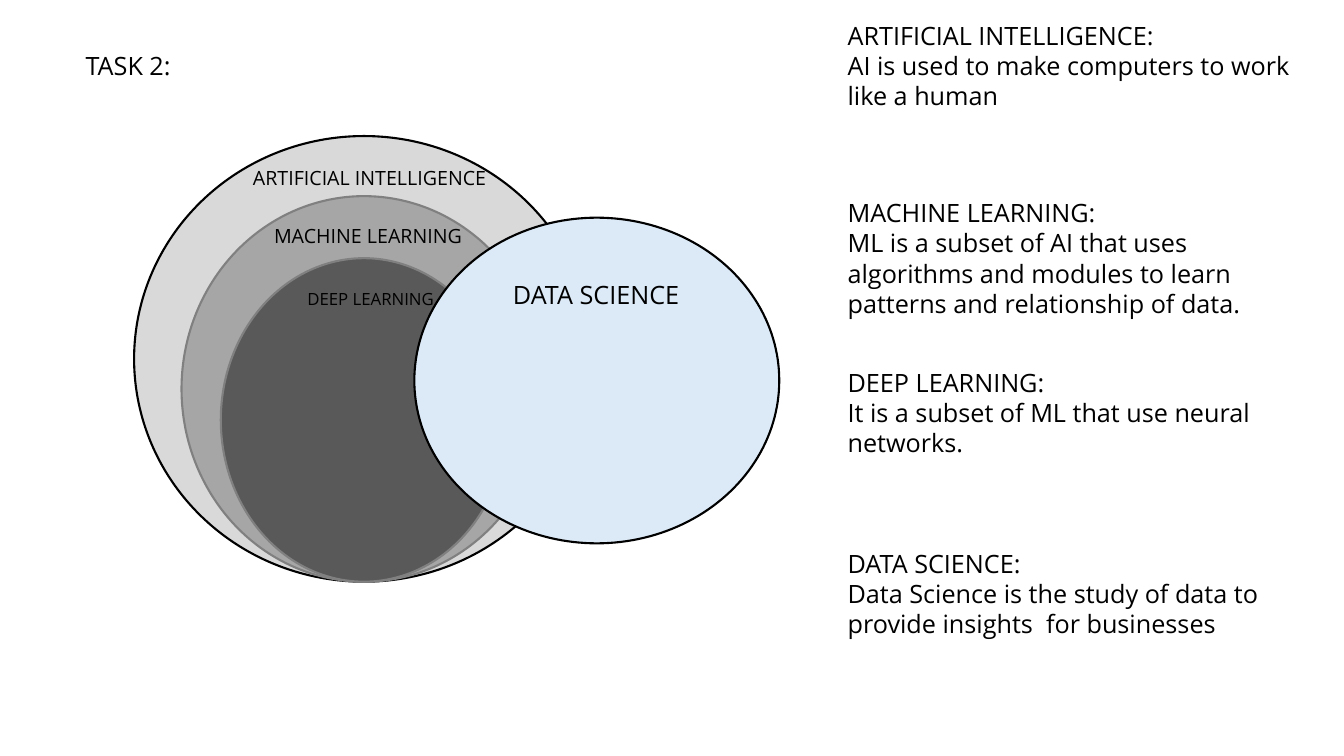
from pptx import Presentation
from pptx.dml.color import RGBColor
from pptx.enum.shapes import MSO_SHAPE
from pptx.util import Inches, Pt

OVAL = MSO_SHAPE.OVAL
WIDE, HIGH = Inches(13.33), Inches(7.5)
FONT = "Open Sans"
HUES = {
    "ink": "000000",
    "edge": "808080",
    "light": "D9D9D9",
    "mid": "A6A6A6",
    "dark": "595959",
    "sky": "DCEAF7",
}

# All lengths are percent of the slide's width or height.
AXIS, BASE = 27.08, 76.95  # shared centre line and bottom of the nested ovals
NESTS = [  # width, height, fill, line
    (34.2, 58.95, "light", "ink"),
    (27.15, 51, "mid", "edge"),
    (21.3, 42.8, "dark", "edge"),
]
LABELS = [  # text, left, top, width, height, size
    ("ARTIFICIAL INTELLIGENCE", 18.08, 21.33, 24.08, 4.5, 14),
    ("MACHINE LEARNING", 19.65, 28.93, 15.98, 4.5, 14),
    ("DEEP LEARNING", 22.13, 37.6, 22.28, 4, 12),
]
NOTE_X, NOTE_W = 62.33, 36.08
NOTES = [  # top, height, heading, body
    (2, 25.6, "ARTIFICIAL INTELLIGENCE:",
     "AI is used to make computers to work like a human"),
    (25.47, 21.6, "MACHINE LEARNING:",
     "ML is a subset of AI that uses algorithms and modules to learn "
     "patterns and relationship of data."),
    (47.87, 25.6, "DEEP LEARNING:",
     "It is a subset of ML that use neural networks."),
    (71.87, 17.47, "DATA SCIENCE:",
     "Data Science is the study of data to provide insights  for businesses"),
]


def hue(name):
    return RGBColor.from_string(HUES[name])


def frame(x, y, w, h):
    """Turn percent shares into slide lengths."""
    return (int(WIDE * x / 100), int(HIGH * y / 100),
            int(WIDE * w / 100), int(HIGH * h / 100))


def add_oval(slide, x, y, w, h, fill, line):
    oval = slide.shapes.add_shape(OVAL, *frame(x, y, w, h))
    oval.shadow.inherit = False
    oval.fill.solid()
    oval.fill.fore_color.rgb = hue(fill)
    oval.line.color.rgb = hue(line)
    oval.line.width = Pt(1.5)


def add_text(slide, lines, x, y, w, h, size=18):
    box = slide.shapes.add_textbox(*frame(x, y, w, h)).text_frame
    box.word_wrap = True
    for i, line in enumerate(lines):
        para = box.add_paragraph() if i else box.paragraphs[0]
        run = para.add_run()
        run.text = line
        run.font.name = FONT
        run.font.size = Pt(size)
        run.font.color.rgb = hue("ink")


def main():
    deck = Presentation()
    deck.slide_width, deck.slide_height = WIDE, HIGH
    slide = deck.slides.add_slide(deck.slide_layouts[6])

    for w, h, fill, line in NESTS:
        add_oval(slide, AXIS - w / 2, BASE - h, w, h, fill, line)
    for text, *place in LABELS:
        add_text(slide, [text], *place)

    add_oval(slide, 30.83, 28.8, 27.15, 43.07, "sky", "ink")
    add_text(slide, ["DATA SCIENCE"], 37.43, 36.27, 16.2, 5.4)

    for top, high, *lines in NOTES:
        add_text(slide, lines, NOTE_X, top, NOTE_W, high)
    add_text(slide, ["TASK 2:"], 5.63, 6, 20.4, 5.4)

    deck.save("out.pptx")


if __name__ == "__main__":
    main()
